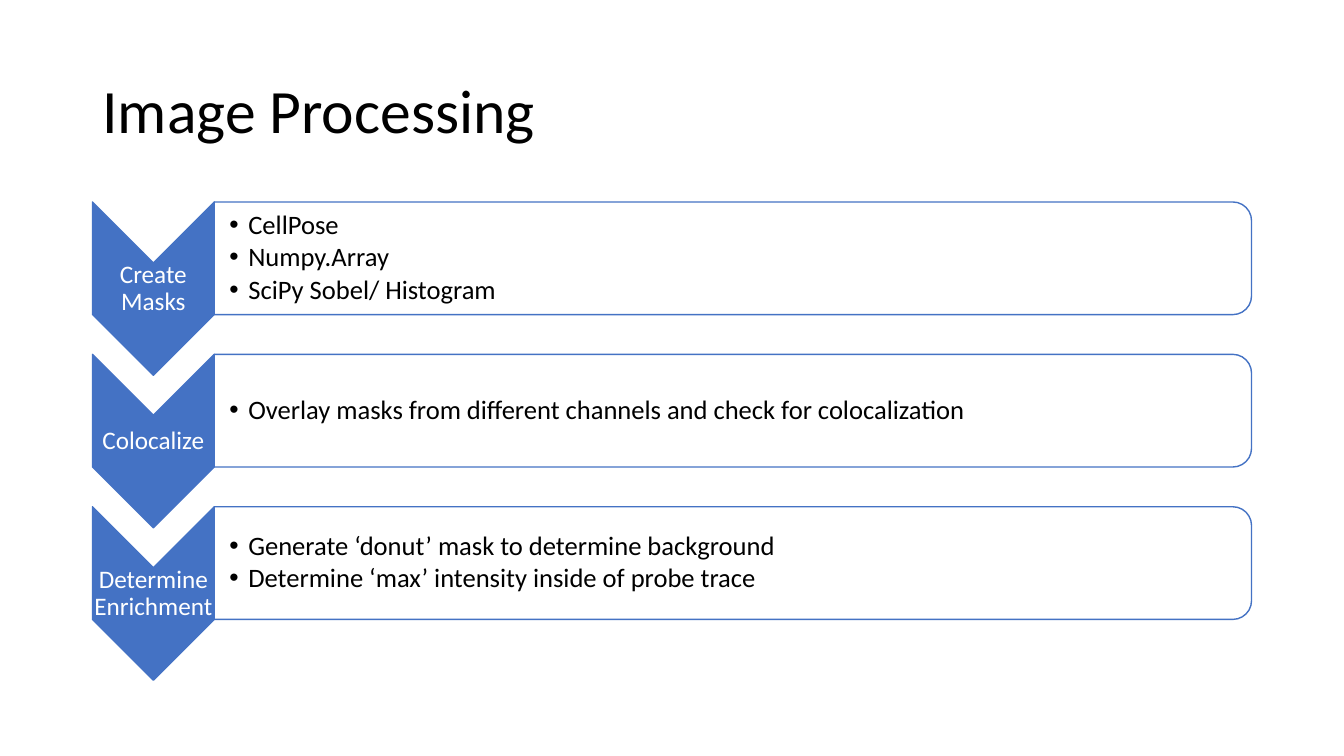
from lxml.etree import SubElement
from pptx import Presentation
from pptx.dml.color import RGBColor
from pptx.enum.shapes import MSO_SHAPE
from pptx.enum.text import MSO_ANCHOR, PP_ALIGN
from pptx.oxml.ns import qn
from pptx.util import Cm, Pt

BLUE = RGBColor(0x44, 0x72, 0xC4)
WHITE = RGBColor(0xFF, 0xFF, 0xFF)
BLACK = RGBColor(0x00, 0x00, 0x00)
FONT = "Calibri"

STEPS = [
    ("Create Masks", ["CellPose", "Numpy.Array", "SciPy Sobel/ Histogram"]),
    ("Colocalize", ["Overlay masks from different channels and check for colocalization"]),
    ("Determine Enrichment", [
        "Generate ‘donut’ mask to determine background",
        "Determine ‘max’ intensity inside of probe trace",
    ]),
]
CHEVRON_WIDTH, CHEVRON_HEIGHT = 3.07, 4.37
PANEL_HEIGHT = 2.84
STEP_PITCH = 3.84


def write_paragraph(paragraph, text, size, color, align, space_after=0):
    paragraph.alignment = align
    paragraph.line_spacing = 0.9
    paragraph.space_before = Pt(0)
    paragraph.space_after = Pt(space_after)
    run = paragraph.add_run()
    run.text = text
    run.font.name = FONT
    run.font.size = Pt(size)
    run.font.color.rgb = color


def add_bullet(paragraph):
    properties = paragraph._p.get_or_add_pPr()
    properties.set("marL", str(Cm(0.48)))
    properties.set("indent", str(Cm(-0.48)))
    SubElement(properties, qn("a:buFont")).set("typeface", "Arial")
    SubElement(properties, qn("a:buChar")).set("char", "•")


def add_text_frame(slide, left, top, width, height, inset_left=0.03):
    frame = slide.shapes.add_textbox(Cm(left), Cm(top), Cm(width), Cm(height)).text_frame
    frame.word_wrap = True
    frame.vertical_anchor = MSO_ANCHOR.MIDDLE
    frame.margin_left = Cm(inset_left)
    frame.margin_top = frame.margin_right = frame.margin_bottom = Cm(0.03)
    return frame


def add_turned_shape(slide, kind, left, top, width, height, fill):
    center_x, center_y = left + width / 2, top + height / 2
    shape = slide.shapes.add_shape(
        kind, Cm(center_x - height / 2), Cm(center_y - width / 2), Cm(height), Cm(width))
    shape.rotation = 90
    shape.shadow.inherit = False
    shape.fill.solid()
    shape.fill.fore_color.rgb = fill
    shape.line.color.rgb = BLUE
    shape.line.width = Pt(1)
    return shape


def add_title(slide, left, top, width, height):
    title = slide.shapes.title
    title.left, title.top, title.width, title.height = map(Cm, (left, top, width, height))
    title.text_frame.vertical_anchor = MSO_ANCHOR.MIDDLE
    write_paragraph(title.text_frame.paragraphs[0], "Image Processing", 44, BLACK, PP_ALIGN.LEFT)


def add_chevron(slide, left, top, label):
    add_turned_shape(slide, MSO_SHAPE.CHEVRON, left, top, CHEVRON_WIDTH, CHEVRON_HEIGHT, BLUE)
    frame = add_text_frame(slide, left, top + CHEVRON_WIDTH / 2, CHEVRON_WIDTH,
                           CHEVRON_HEIGHT - CHEVRON_WIDTH)
    write_paragraph(frame.paragraphs[0], label, 18, WHITE, PP_ALIGN.CENTER)


def add_panel(slide, left, top, width, details):
    panel = add_turned_shape(slide, MSO_SHAPE.ROUND_2_SAME_RECTANGLE,
                             left, top, width, PANEL_HEIGHT, WHITE)
    white = panel.fill._xPr.find(qn("a:solidFill"))[0]
    SubElement(white, qn("a:alpha")).set("val", "90000")
    frame = add_text_frame(slide, left, top + 0.14, width - 0.14, PANEL_HEIGHT - 0.28, 0.38)
    for index, detail in enumerate(details):
        paragraph = frame.add_paragraph() if index else frame.paragraphs[0]
        write_paragraph(paragraph, detail, 19, BLACK, PP_ALIGN.LEFT, 2.5)
        add_bullet(paragraph)


def add_process(slide, left, top, width):
    for index, (label, details) in enumerate(STEPS):
        step_top = top + index * STEP_PITCH
        add_chevron(slide, left, step_top, label)
        add_panel(slide, left + CHEVRON_WIDTH, step_top, width - CHEVRON_WIDTH, details)


def main():
    presentation = Presentation()
    presentation.slide_width, presentation.slide_height = Cm(33.87), Cm(19.05)
    slide = presentation.slides.add_slide(presentation.slide_layouts[5])
    add_title(slide, 2.33, 1.01, 29.21, 3.68)
    add_process(slide, 2.33, 5.09, 29.21)
    presentation.save("out.pptx")


if __name__ == "__main__":
    main()
